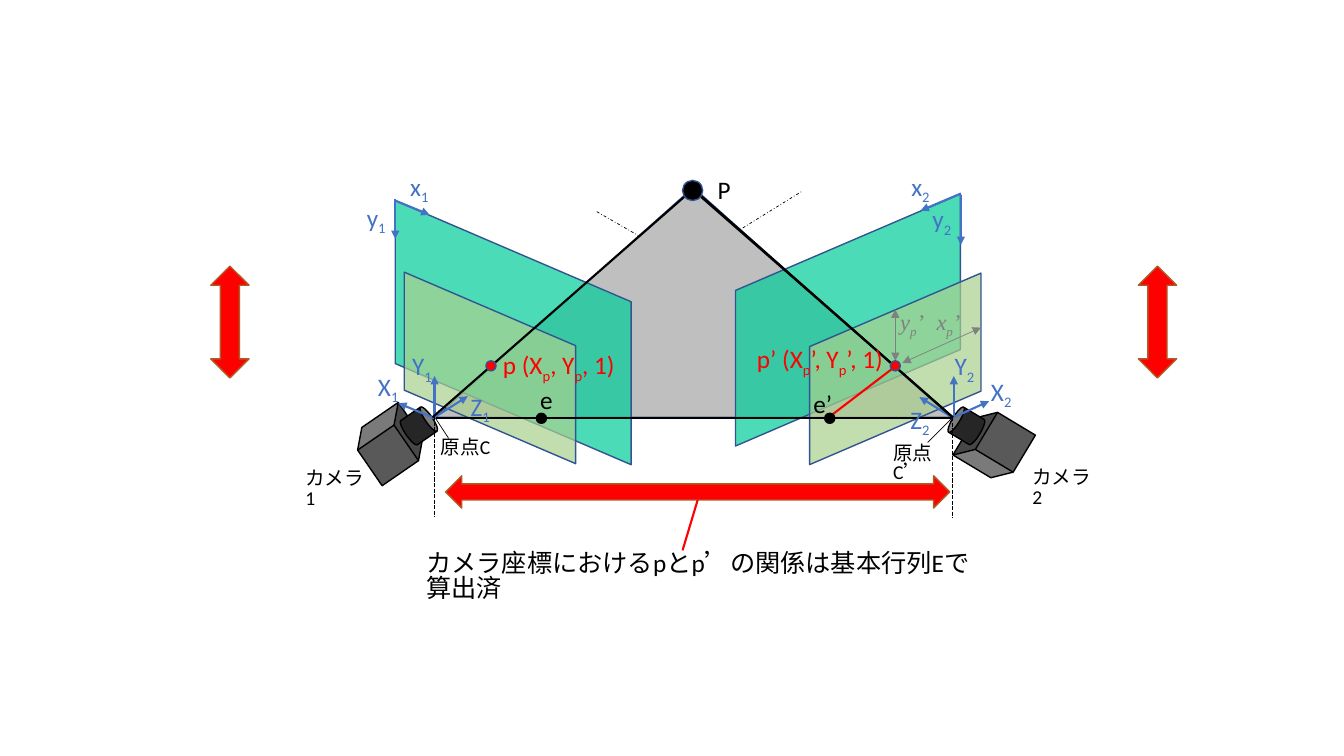
from lxml.etree import SubElement
from pptx import Presentation
from pptx.dml.color import RGBColor
from pptx.enum.dml import MSO_LINE
from pptx.enum.shapes import MSO_CONNECTOR, MSO_SHAPE as SHAPE
from pptx.enum.text import MSO_AUTO_SIZE
from pptx.oxml.ns import qn
from pptx.util import Inches, Pt

COLORS = {
    "black": "000000", "red": "FF0000", "axis": "4472C4", "outline": "325491",
    "gray": "808080", "triangle": "BFBFBF", "image": "00CC99", "normalized": "A9D18E",
    "body": "595959", "lens": "262626", "arrow_edge": "AF5C24",
}
LATIN, JAPANESE, MATH = "Calibri", "Noto Sans CJK JP", "Times New Roman"

# Image planes: box before rotation, rotation, flipped, fill
IMAGE_PLANES = [
    ((7.16, 2.06, 2.5, 2.23), 90, True, "image"),
    ((3.78, 2.13, 2.62, 2.34), 270, False, "image"),
]
NORMALIZED_PLANES = [
    ((3.91, 2.8, 1.9, 1.7), 270, False, "normalized"),
    ((7.93, 2.81, 1.9, 1.7), 90, True, "normalized"),
]
# Cameras: left of body, top of body, body rotation, left of lens, lens rotation
CAMERAS = [(9.56, 4.12, 211, 9.44, 301), (3.57, 4.11, 325.5, 4.01, 55.5)]

OPTICAL_AXES = [((5.92, 2.1), (9.46, 4.14)), ((4.32, 4.15), (7.95, 1.9))]
AXES = [
    ((4.31, 4.14), (4.64, 3.93)), ((4.31, 4.13), (4.31, 3.73)),
    ((4.31, 4.15), (3.95, 4)), ((9.46, 4.14), (9.81, 3.98)),
    ((9.46, 4.13), (9.46, 3.73)), ((9.46, 4.15), (9.12, 3.94)),
    ((3.92, 1.99), (4.26, 2.13)), ((3.92, 1.97), (3.92, 2.37)),
    ((9.53, 1.93), (9.53, 2.43)), ((9.53, 1.92), (9.13, 2.09)),
]
RAYS = [
    ((4.29, 4.14), (6.87, 1.88)), ((9.45, 4.14), (6.87, 1.88)),
    ((9.45, 4.14), (6.87, 1.87)), ((9.43, 4.15), (4.32, 4.15)),
]
EPIPOLAR_LINE = ((8.22, 4.14), (8.86, 3.65))
ORIGIN_LEADERS = [((4.45, 4.35), (4.32, 4.15)), ((9.2, 4.39), (9.45, 4.14))]
BASELINE_ENDS = [((9.45, 4.14), (9.45, 5.14)), ((4.31, 4.13), (4.31, 5.13))]
DIMENSIONS = [((8.88, 3.58), (8.88, 3.07)), ((9.73, 3.25), (8.95, 3.6))]
CAPTION_LEADER = ((6.77, 5.46), (6.92, 4.96))

# Points: left, top, diameter, fill, outline
POINTS = [
    (4.82, 3.58, 0.1, "red", "outline"), (8.83, 3.58, 0.1, "red", "outline"),
    (6.77, 1.79, 0.2, "black", "outline"),
    (8.18, 4.1, 0.1, "black", "black"), (5.32, 4.1, 0.1, "black", "black"),
]
ARROWS = [
    ((2.09, 2.64, 0.38, 1.11), 0), ((11.29, 2.64, 0.38, 1.11), 0),
    ((6.76, 2.38, 0.32, 5), 270),
]

# Labels by style (font, size, colour, height): text with |subscripts|, left, top, width
LABELS = {
    (LATIN, 18, "axis", 0.4): [
        ("Z|1", 4.57, 3.83, 0.51), ("X|1", 3.65, 3.63, 0.55), ("Y|1", 3.99, 3.43, 0.5),
        ("Z|2", 8.93, 3.96, 0.45), ("X|2", 9.73, 3.68, 0.49), ("Y|2", 9.37, 3.43, 0.51),
        ("x|1", 3.97, 1.65, 0.49), ("y|1", 3.54, 1.96, 0.5),
        ("x|2", 8.94, 1.65, 0.5), ("y|2", 9.15, 1.97, 0.49),
    ],
    (LATIN, 18, "black", 0.4): [
        ("P", 7.02, 1.68, 1.56), ("e’", 7.97, 3.8, 0.4), ("e", 5.26, 3.76, 0.4),
    ],
    (JAPANESE, 14, "black", 0.34): [
        ("原点C", 4.27, 4.3, 0.83), ("原点C’", 8.76, 4.36, 0.83),
        ("カメラ1", 2.93, 4.61, 0.83), ("カメラ2", 10.14, 4.6, 0.83),
    ],
    (JAPANESE, 18, "black", 0.4): [
        ("カメラ座標におけるpとp’の関係は基本行列Eで算出済", 4.13, 5.43, 5.76),
    ],
    (LATIN, 18, "red", 0.4): [
        ("p (X|p|, Y|p|, 1)", 4.89, 3.42, 1.56),
        ("p’ (X|p|’, Y|p|’, 1)", 7.41, 3.36, 1.56),
    ],
    (MATH, 16, "gray", 0.37): [("y|p|’", 8.83, 3.01, 0.49), ("x|p|’", 9.19, 3.01, 0.49)],
}


def rgb(name):
    return RGBColor.from_string(COLORS[name])


def add_shape(shapes, kind, box, fill, edge, rotation=0):
    s = shapes.add_shape(kind, *map(Inches, box))
    s.shadow.inherit = False
    s.rotation = rotation
    s.fill.solid()
    s.fill.fore_color.rgb = rgb(fill)
    s.line.color.rgb = rgb(edge)
    s.line.width = Pt(1)
    return s


def add_plane(shapes, box, rotation, flipped, fill):
    s = add_shape(shapes, SHAPE.PARALLELOGRAM, box, fill, "outline", rotation)
    s.adjustments[0] = 0.429
    if flipped:
        s._element.spPr.find(qn("a:xfrm")).set("flipV", "1")
    color = s._element.spPr.find(qn("a:solidFill")).find(qn("a:srgbClr"))
    SubElement(color, qn("a:alpha")).set("val", "70000")


def add_camera(shapes, left, top, body_turn, lens_left, lens_turn):
    group = shapes.add_group_shape().shapes
    body = add_shape(group, SHAPE.CUBE, (left, top, 0.6, 0.59), "body", "black", body_turn)
    body.adjustments[0] = 0.274
    add_shape(group, SHAPE.CAN, (lens_left, 4.07, 0.29, 0.31), "lens", "black", lens_turn)


def add_line(shapes, ends, color, width, dash=None, heads=()):
    """Draw a line; heads names its arrow ends, headEnd before tailEnd."""
    start, end = ends
    c = shapes.add_connector(MSO_CONNECTOR.STRAIGHT, *map(Inches, start + end))
    c.line.color.rgb = rgb(color)
    c.line.width = Pt(width)
    if dash:
        c.line.dash_style = dash
    for head in heads:
        SubElement(c.line._get_or_add_ln(), qn(f"a:{head}")).set("type", "triangle")
    SubElement(c._element.spPr, qn("a:effectLst"))


def add_label(shapes, text, box, font, size, color):
    tf = shapes.add_textbox(*map(Inches, box)).text_frame
    tf.word_wrap = True
    tf.auto_size = MSO_AUTO_SIZE.SHAPE_TO_FIT_TEXT
    p = tf.paragraphs[0]
    if font == JAPANESE:
        p.line_spacing = 0.84
    for i, part in enumerate(text.split("|")):
        r = p.add_run()
        r.text = part
        r.font.size = Pt(size)
        r.font.color.rgb = rgb(color)
        r.font.name = LATIN if font == JAPANESE else font
        if font == MATH:
            r.font.italic = True
        rPr = r._r.get_or_add_rPr()
        if font == JAPANESE:
            SubElement(rPr, qn("a:ea")).set("typeface", JAPANESE)
        if i % 2:
            rPr.set("baseline", "-25000")


def main():
    prs = Presentation()
    prs.slide_width, prs.slide_height = Inches(13.33), Inches(7.5)
    shapes = prs.slides.add_slide(prs.slide_layouts[6]).shapes

    for ends in OPTICAL_AXES:
        add_line(shapes, ends, "black", 0.5, MSO_LINE.DASH_DOT)
    add_shape(shapes, SHAPE.ISOSCELES_TRIANGLE, (4.32, 1.86, 5.11, 2.28), "triangle", "outline")
    for plane in IMAGE_PLANES:
        add_plane(shapes, *plane)
    for camera in CAMERAS:
        add_camera(shapes, *camera)
    for plane in NORMALIZED_PLANES:
        add_plane(shapes, *plane)

    for ends in AXES:
        add_line(shapes, ends, "axis", 1.5, heads=["tailEnd"])
    for ends in RAYS:
        add_line(shapes, ends, "black", 1.5)
    add_line(shapes, EPIPOLAR_LINE, "red", 1.5)
    for ends in ORIGIN_LEADERS:
        add_line(shapes, ends, "black", 0.5)
    for ends in BASELINE_ENDS:
        add_line(shapes, ends, "black", 1, MSO_LINE.SQUARE_DOT)
    for ends in DIMENSIONS:
        add_line(shapes, ends, "gray", 0.5, heads=["headEnd", "tailEnd"])

    for left, top, size, fill, edge in POINTS:
        add_shape(shapes, SHAPE.OVAL, (left, top, size, size), fill, edge)
    for (font, size, color, height), labels in LABELS.items():
        for text, left, top, width in labels:
            add_label(shapes, text, (left, top, width, height), font, size, color)
    for box, rotation in ARROWS:
        add_shape(shapes, SHAPE.UP_DOWN_ARROW, box, "red", "arrow_edge", rotation)
    add_line(shapes, CAPTION_LEADER, "red", 1.5)

    prs.save("out.pptx")


if __name__ == "__main__":
    main()
